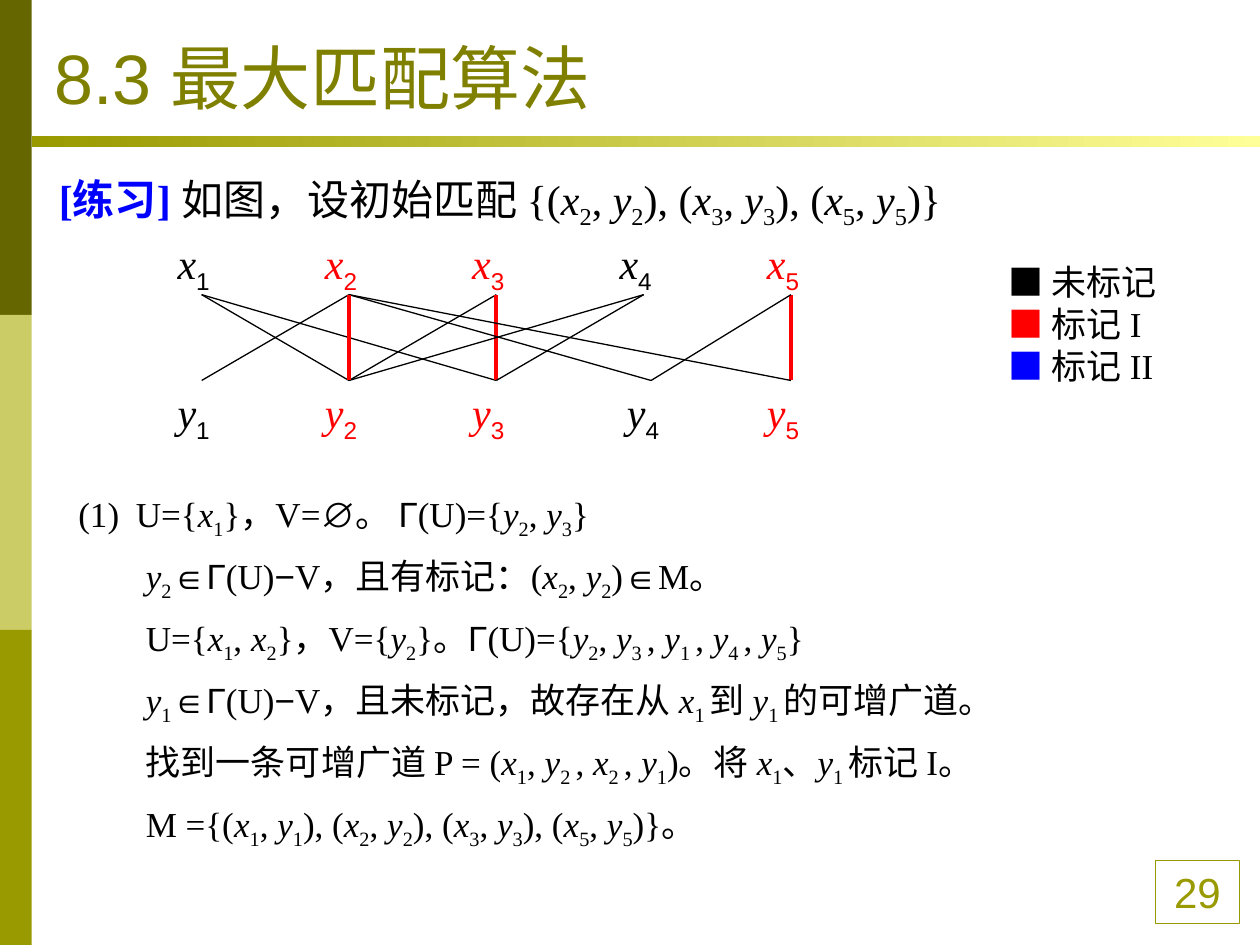
from dataclasses import dataclass
from itertools import groupby

from lxml.etree import SubElement
from pptx import Presentation
from pptx.dml.color import RGBColor
from pptx.enum.shapes import MSO_CONNECTOR as Link, MSO_SHAPE as Kind
from pptx.enum.text import MSO_ANCHOR as Anchor, PP_ALIGN as Align
from pptx.oxml.ns import qn
from pptx.util import Cm, Pt

HEX = {
    "black": "000000", "red": "FF0000", "blue": "0000FF", "title": "808000",
    "dark": "666600", "pale": "CCCC66", "olive": "999900", "light": "FFFF99",
}
SERIF, SANS = "Times New Roman", "Arial"
MATH = "∅Γ∈−"


@dataclass
class Box:
    left: float
    top: float
    width: float
    height: float

    def emu(self) -> tuple:
        return tuple(Cm(v) for v in (self.left, self.top, self.width, self.height))


@dataclass
class Key:
    color: str
    label: str


@dataclass
class Edge:
    x: int
    y: int

    @property
    def matched(self) -> bool:
        return self.x == self.y


BARS = ["dark", "pale", "olive"]
KEYS = [Key("black", "未标记"), Key("red", "标记 I"), Key("blue", "标记 II")]
EDGES = [Edge(*pair) for pair in (
    (3, 2), (1, 3), (3, 3), (2, 4), (4, 2), (5, 5),
    (2, 5), (1, 2), (2, 1), (4, 3), (5, 4), (2, 2))]
MATCHED = {edge.x for edge in EDGES if edge.matched}
STEPS = [
    "(1)\tU={x1}，V=∅。 Γ(U)={y2, y3}",
    "y2∈Γ(U)−V，且有标记：(x2, y2)∈M。",
    "U={x1, x2}，V={y2}。Γ(U)={y2, y3 , y1 , y4 , y5}",
    "y1∈Γ(U)−V，且未标记，故存在从 x1 到 y1 的可增广道。",
    "找到一条可增广道 P = (x1, y2 , x2 , y1)。将 x1、y1 标记 I。",
    "M ={(x1, y1), (x2, y2), (x3, y3), (x5, y5)}。",
]


def rgb(name: str) -> RGBColor:
    return RGBColor.from_string(HEX[name])


def style(para, size: float, color: str = "black", face: str = SERIF) -> None:
    font = para.font
    font.size, font.name, font.color.rgb = Pt(size), face, rgb(color)


def indent(para, left: float, first: float = 0) -> None:
    props = para._p.get_or_add_pPr()
    props.set("marL", str(Cm(left)))
    props.set("indent", str(Cm(first)))


def kinds(text: str) -> list:
    """Pair each character with its role: var, sub, math or plain."""
    out, last = [], "plain"
    for char in text:
        if char in "xy":
            last = "var"
        elif (last == "var" and char.isdigit()) or (last == "sub" and char == " "):
            last = "sub"
        else:
            last = "math" if char in MATH else "plain"
        out.append((last, char))
    return out


def write(para, text: str, sub_face: str = "") -> None:
    """Add text with variables in italics and their indices lowered."""
    for kind, group in groupby(kinds(text), key=lambda pair: pair[0]):
        run = para.add_run()
        run.text = "".join(char for _, char in group)
        if kind == "var":
            run.font.italic = True
        elif kind == "sub":
            run._r.get_or_add_rPr().set("baseline", "-25000")
            if sub_face:
                run.font.name = sub_face
        elif kind == "math":
            run.font.name = SANS


def frame(slide, box: Box):
    shape = slide.shapes.add_textbox(*box.emu())
    shape.text_frame.word_wrap = True
    return shape


def paras(text, count: int) -> list:
    return [text.paragraphs[0]] + [text.add_paragraph() for _ in range(count - 1)]


def rect(slide, box: Box):
    shape = slide.shapes.add_shape(Kind.RECTANGLE, *box.emu())
    shape.shadow.inherit = False
    shape.line.fill.background()
    return shape


def decor(slide) -> None:
    for i, color in enumerate(BARS):
        bar = rect(slide, Box(0, 6.35 * i, 0.64, 6.35))
        bar.fill.solid()
        bar.fill.fore_color.rgb = rgb(color)

    page = rect(slide, Box(23.29, 17.35, 1.7, 1.27))
    page.fill.background()
    page.line.color.rgb, page.line.width = rgb("olive"), Pt(0.75)
    para = page.text_frame.paragraphs[0]
    para.text, para.alignment = "29", Align.CENTER
    style(para, 24, "olive", SANS)

    rule = rect(slide, Box(0.64, 2.74, 24.76, 0.23))
    rule.fill.gradient()
    rule.fill.gradient_angle = 0
    for stop, color in zip(rule.fill.gradient_stops, ("olive", "light")):
        stop.color.rgb = rgb(color)


def head(slide) -> None:
    title = slide.shapes.title
    title.left, title.top, title.width, title.height = Box(0.84, 0.33, 22.86, 2.18).emu()
    title.text_frame.vertical_anchor = Anchor.BOTTOM
    para = title.text_frame.paragraphs[0]
    para.text, para.alignment = "8.3 最大匹配算法", Align.LEFT
    style(para, 40, "title", SANS)


def task(slide) -> None:
    para = frame(slide, Box(0.94, 3.02, 23.95, 1.9)).text_frame.paragraphs[0]
    indent(para, 1.7, -1.7)
    para.line_spacing = 1.3
    style(para, 24)
    tag = para.add_run()
    tag.text, tag.font.bold = "[练习] ", True
    tag.font.color.rgb = rgb("blue")
    write(para, "如图，设初始匹配 {(x2, y2), (x3, y3), (x5, y5)}")


def steps(slide) -> None:
    text = frame(slide, Box(0.99, 9.52, 23.95, 7.77)).text_frame
    for i, (para, line) in enumerate(zip(paras(text, len(STEPS)), STEPS)):
        indent(para, *((1.7, 0) if i else (1.5, -1.16)))
        para.line_spacing = 1.3
        style(para, 20)
        write(para, line)


def legend(slide) -> None:
    text = frame(slide, Box(20.09, 5.13, 3.99, 3)).text_frame
    for para, key in zip(paras(text, len(KEYS)), KEYS):
        style(para, 20)
        mark = para.add_run()
        mark.text, mark.font.color.rgb = "■", rgb(key.color)
        para.add_run().text = " " + key.label


def node(slide, name: str, i: int, top: float):
    shift = 0.15 if name == "y" and i == 4 else 0
    shape = frame(slide, Box(3.33 + 2.97 * (i - 1) + shift, top, 1.47, 1.27))
    para = shape.text_frame.paragraphs[0]
    style(para, 24, "red" if i in MATCHED else "black")
    write(para, f"{name}{i}", SANS)
    return shape


def graph(slide) -> None:
    xs, ys = ({i: node(slide, name, i, top) for i in range(1, 6)}
              for name, top in (("x", 4.67), ("y", 7.67)))
    for edge in EDGES:
        line = slide.shapes.add_connector(Link.STRAIGHT, 0, 0, 0, 0)
        line.begin_connect(xs[edge.x], 2)
        line.end_connect(ys[edge.y], 0)
        line.line.color.rgb = rgb("red" if edge.matched else "black")
        line.line.width = Pt(2.25 if edge.matched else 0.75)
        SubElement(line._element.spPr, qn("a:effectLst"))


def main() -> None:
    deck = Presentation()
    deck.slide_width, deck.slide_height = Cm(25.4), Cm(19.05)
    slide = deck.slides.add_slide(deck.slide_layouts[5])
    for draw in (decor, head, task, steps, legend, graph):
        draw(slide)
    deck.save("out.pptx")


if __name__ == "__main__":
    main()
